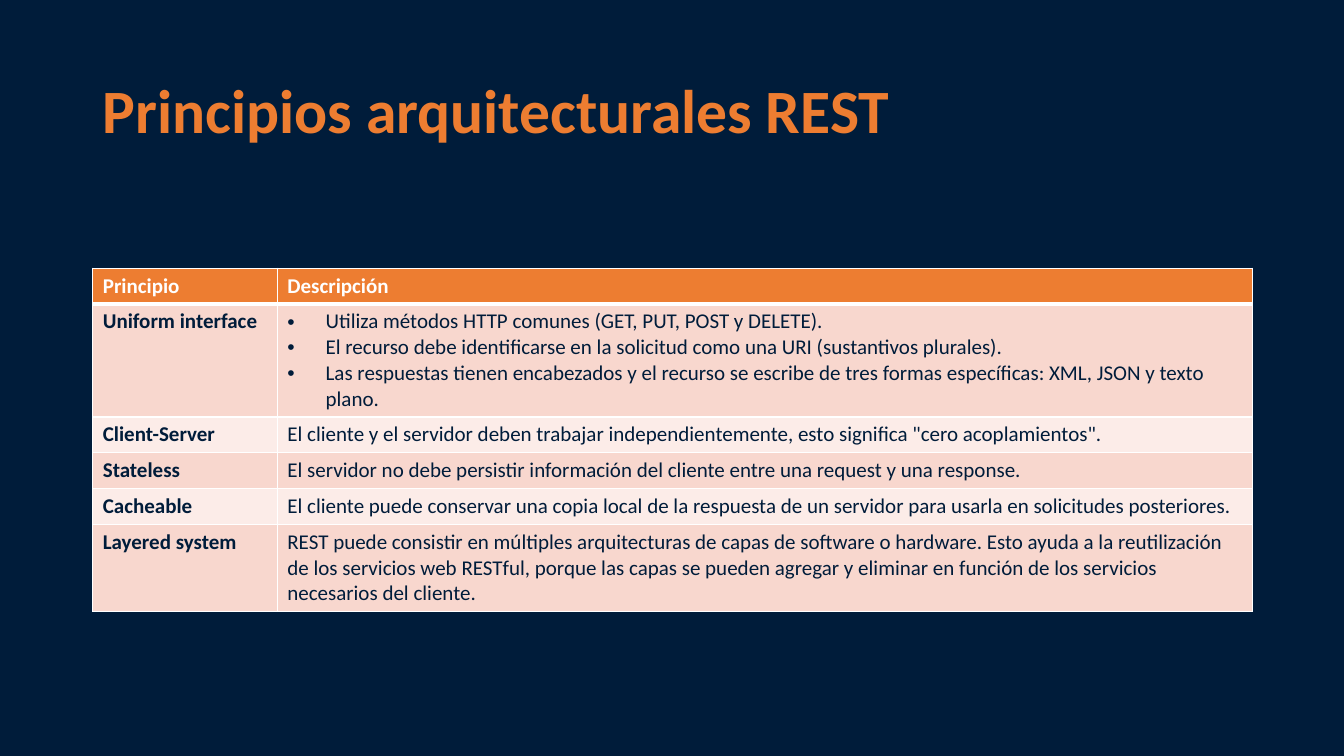
"""Build the slide that tabulates the architectural principles of REST."""
from dataclasses import dataclass

from lxml import etree
from pptx import Presentation
from pptx.dml.color import RGBColor
from pptx.enum.text import MSO_ANCHOR, MSO_AUTO_SIZE, PP_ALIGN
from pptx.oxml.ns import qn
from pptx.slide import Slide
from pptx.table import _Cell
from pptx.util import Inches, Pt

NAVY = RGBColor(0x00, 0x1C, 0x3A)
ORANGE = RGBColor(0xED, 0x7D, 0x31)
WHITE = RGBColor(0xFF, 0xFF, 0xFF)
ROSE = RGBColor(0xF8, 0xD7, 0xCE)
PALE_ROSE = RGBColor(0xFC, 0xEC, 0xE8)

LEFT = PP_ALIGN.LEFT
MIDDLE = MSO_ANCHOR.MIDDLE
NO_AUTO_SIZE = MSO_AUTO_SIZE.NONE

FONT_NAME = "Calibri"
MARGIN = Inches(0.92)
CONTENT_WIDTH = Inches(11.5)
TABLE_TOP = Inches(2.66)
COLUMN_WIDTHS = (Inches(1.83), Inches(9.67))
LINE_HEIGHT = Inches(0.25)
CELL_PADDING = Inches(0.1)
BULLET_INDENT = Inches(0.38)


@dataclass(frozen=True)
class Principle:
    name: str
    description: tuple[str, ...]
    lines: int = 1


PRINCIPLES = (
    Principle("Uniform interface", (
        "Utiliza métodos HTTP comunes (GET, PUT, POST y DELETE).",
        "El recurso debe identificarse en la solicitud como una URI (sustantivos plurales).",
        "Las respuestas tienen encabezados y el recurso se escribe de tres formas "
        "específicas: XML, JSON y texto plano.",
    ), 4),
    Principle("Client-Server", (
        "El cliente y el servidor deben trabajar independientemente, esto significa "
        '"cero acoplamientos".',
    )),
    Principle("Stateless", (
        "El servidor no debe persistir información del cliente entre una request y una response.",
    )),
    Principle("Cacheable", (
        "El cliente puede conservar una copia local de la respuesta de un servidor para "
        "usarla en solicitudes posteriores.",
    )),
    Principle("Layered system", (
        "REST puede consistir en múltiples arquitecturas de capas de software o hardware. "
        "Esto ayuda a la reutilización de los servicios web RESTful, porque las capas se "
        "pueden agregar y eliminar en función de los servicios necesarios del cliente.",
    ), 3),
)


def apply_format(target: object, values: dict[str, object]) -> None:
    for name, value in values.items():
        setattr(target, name, value)


def write_paragraph(para, text: str, size: int, color: RGBColor, bold: bool) -> None:
    span = para.add_run()
    span.text = text
    apply_format(span.font, {"name": FONT_NAME, "size": Pt(size), "bold": bold})
    span.font.color.rgb = color


def add_bullet(para) -> None:
    properties = para._p.get_or_add_pPr()
    properties.set("marL", str(BULLET_INDENT))
    properties.set("indent", str(-BULLET_INDENT))
    etree.SubElement(properties, qn("a:buFont"), typeface="Arial")
    etree.SubElement(properties, qn("a:buChar"), char="•")


def add_borders(cell: _Cell, top: int, bottom: int) -> None:
    properties = cell._tc.get_or_add_tcPr()
    for side, points in {"L": 1, "R": 1, "T": top, "B": bottom}.items():
        line = etree.SubElement(properties, qn(f"a:ln{side}"), w=str(Pt(points)))
        fill = etree.SubElement(line, qn("a:solidFill"))
        etree.SubElement(fill, qn("a:srgbClr"), val=str(WHITE))


def fill_cell(cell: _Cell, texts: tuple[str, ...], fill: RGBColor, color: RGBColor,
              bold: bool, top: int = 1, bottom: int = 1) -> None:
    add_borders(cell, top, bottom)
    cell.fill.solid()
    cell.fill.fore_color.rgb = fill
    frame = cell.text_frame
    for index, text in enumerate(texts):
        para = frame.add_paragraph() if index else frame.paragraphs[0]
        if len(texts) > 1:
            add_bullet(para)
        write_paragraph(para, text, 15, color, bold)


def add_title(page: Slide) -> None:
    title = page.shapes.title
    apply_format(title, {"left": MARGIN, "top": Inches(0.4),
                         "width": CONTENT_WIDTH, "height": Inches(1.45)})
    frame = title.text_frame
    apply_format(frame, {"word_wrap": True, "vertical_anchor": MIDDLE,
                         "auto_size": NO_AUTO_SIZE})
    para = frame.paragraphs[0]
    apply_format(para, {"alignment": LEFT, "line_spacing": 0.9})
    write_paragraph(para, "Principios arquitecturales REST", 44, ORANGE, True)


def add_principles_table(page: Slide) -> None:
    line_counts = [1] + [principle.lines for principle in PRINCIPLES]
    heights = [CELL_PADDING + LINE_HEIGHT * count for count in line_counts]
    table = page.shapes.add_table(len(heights), len(COLUMN_WIDTHS), MARGIN, TABLE_TOP,
                                  CONTENT_WIDTH, sum(heights)).table
    for column, width in zip(table.columns, COLUMN_WIDTHS):
        column.width = width
    for row, height in zip(table.rows, heights):
        row.height = height
    for index, heading in enumerate(("Principio", "Descripción")):
        fill_cell(table.cell(0, index), (heading,), ORANGE, WHITE, True, bottom=3)
    for row, principle in enumerate(PRINCIPLES, start=1):
        fill = ROSE if row % 2 else PALE_ROSE
        top = 3 if row == 1 else 1
        fill_cell(table.cell(row, 0), (principle.name,), fill, NAVY, True, top)
        fill_cell(table.cell(row, 1), principle.description, fill, NAVY, False, top)


def main() -> None:
    deck = Presentation()
    apply_format(deck, {"slide_width": Inches(13.33), "slide_height": Inches(7.5)})
    page = deck.slides.add_slide(deck.slide_layouts.get_by_name("Title Only"))
    page.background.fill.solid()
    page.background.fill.fore_color.rgb = NAVY
    add_title(page)
    add_principles_table(page)
    deck.save("out.pptx")


if __name__ == "__main__":
    main()
